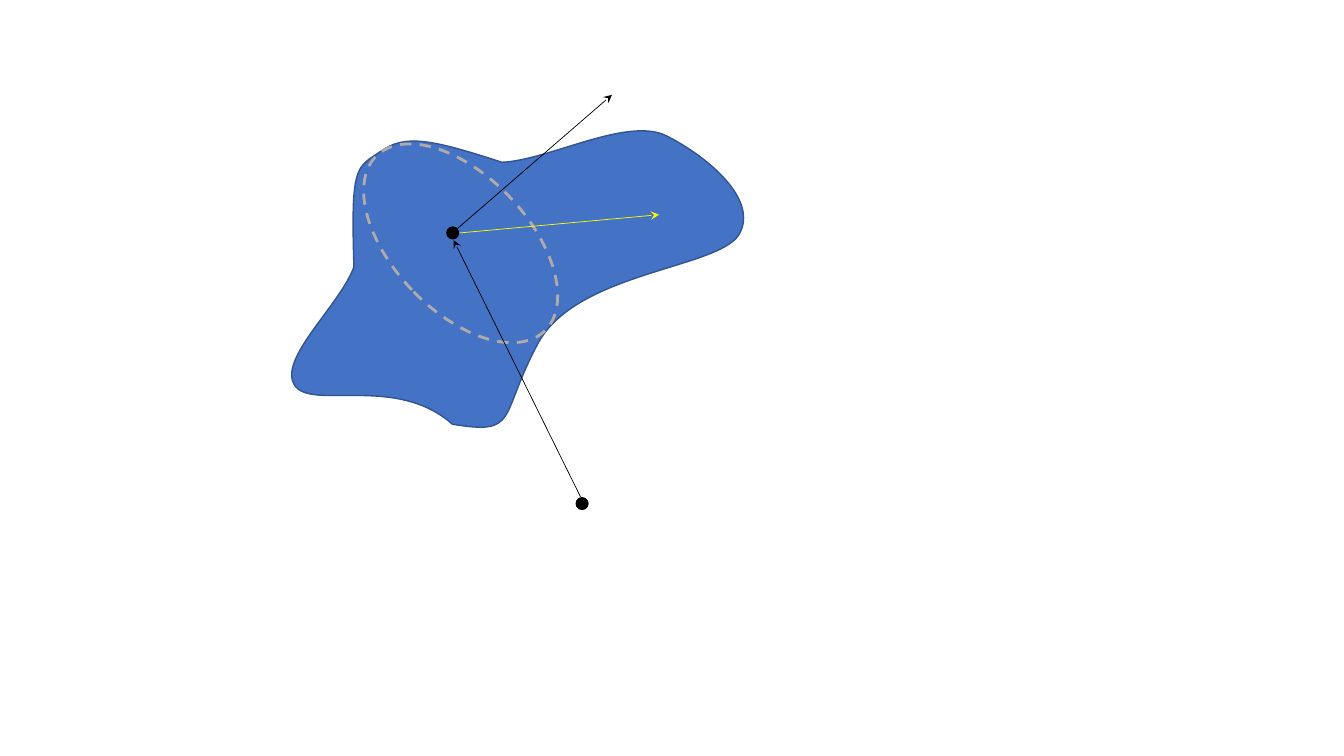
from pptx import Presentation
from pptx.dml.color import RGBColor as Rgb
from pptx.enum.dml import MSO_LINE as Dash
from pptx.enum.shapes import MSO_CONNECTOR as Link, MSO_SHAPE as Form
from pptx.oxml.ns import qn
from pptx.util import Cm, Pt
from lxml.etree import SubElement as add_sub

COLORS = {
    "body": "4472C4",
    "edge": "325491",
    "ring": "AFABAB",
    "ink": "000000",
    "glow": "FFFF00",
}

START = (7.42, 9.70)
CURVES = [
    [(7.01, 9.04), (8.56, 7.70), (8.92, 6.73)],
    [(8.84, 4.14), (8.97, 4.24), (9.60, 3.81)],
    [(10.21, 3.38), (10.87, 3.51), (12.65, 4.09)],
    [(13.84, 4.04), (15.82, 2.92), (16.81, 3.43)],
    [(17.81, 3.94), (19.15, 5.03), (18.62, 5.92)],
    [(18.06, 6.78), (14.48, 6.86), (13.54, 8.69)],
    [(12.57, 10.52), (13.08, 10.97), (11.40, 10.69)],
    [(9.98, 9.42), (7.82, 10.36), START],
]


class Sketch:
    def __init__(self, slide, colors):
        self.shapes = slide.shapes
        self.colors = colors

    def tint(self, name):
        return Rgb.from_string(self.colors[name])

    def style(self, shape, fill=None, line=None, width=1):
        shape.shadow.inherit = False
        if fill:
            shape.fill.solid()
            shape.fill.fore_color.rgb = self.tint(fill)
        else:
            shape.fill.background()
        if line:
            shape.line.color.rgb = self.tint(line)
            shape.line.width = Pt(width)
        else:
            shape.line.fill.background()

    def curvy(self, start, curves, fill, line):
        points = [(Cm(x), Cm(y)) for curve in curves for x, y in curve]
        pen = self.shapes.build_freeform(Cm(start[0]), Cm(start[1]))
        pen.add_line_segments(points, close=True)
        shape = pen.convert_to_shape()
        steps = list(shape._element.iter(qn("a:lnTo")))
        for i in range(0, len(steps), 3):
            first, *rest = steps[i:i + 3]
            bend = first.makeelement(qn("a:cubicBezTo"))
            first.addprevious(bend)
            for step in (first, *rest):
                bend.append(step[0])
                step.getparent().remove(step)
        self.style(shape, fill, line)

    def oval(self, x, y, w, h):
        return self.shapes.add_shape(Form.OVAL, Cm(x), Cm(y), Cm(w), Cm(h))

    def ring(self, x, y, w, h, angle, line):
        shape = self.oval(x, y, w, h)
        shape.rotation = angle
        self.style(shape, line=line, width=2)
        shape.line.dash_style = Dash.DASH

    def dot(self, x, y, size=0.33):
        shape = self.oval(x - size / 2, y - size / 2, size, size)
        self.style(shape, fill="ink")

    def arrow(self, start, end, color="ink"):
        ends = [Cm(v) for v in (*start, *end)]
        link = self.shapes.add_connector(Link.STRAIGHT, *ends)
        link.line.color.rgb = self.tint(color)
        link.line.width = Pt(0.5)
        props = link._element.spPr
        add_sub(props.find(qn("a:ln")), qn("a:tailEnd"), type="stealth")
        add_sub(props, qn("a:effectLst"))


def main():
    deck = Presentation()
    deck.slide_width, deck.slide_height = Cm(33.87), Cm(19.05)
    sketch = Sketch(deck.slides.add_slide(deck.slide_layouts[6]), COLORS)

    sketch.curvy(START, CURVES, "body", "edge")
    sketch.ring(9.91, 3.07, 3.40, 6.12, 316.3, "ring")
    sketch.arrow((11.40, 5.87), (15.42, 2.39))
    sketch.dot(11.41, 5.87)
    sketch.arrow((14.63, 12.52), (11.43, 6.05))
    sketch.dot(14.67, 12.69)
    sketch.arrow((11.58, 5.87), (16.61, 5.41), "glow")

    deck.save("out.pptx")


if __name__ == "__main__":
    main()
